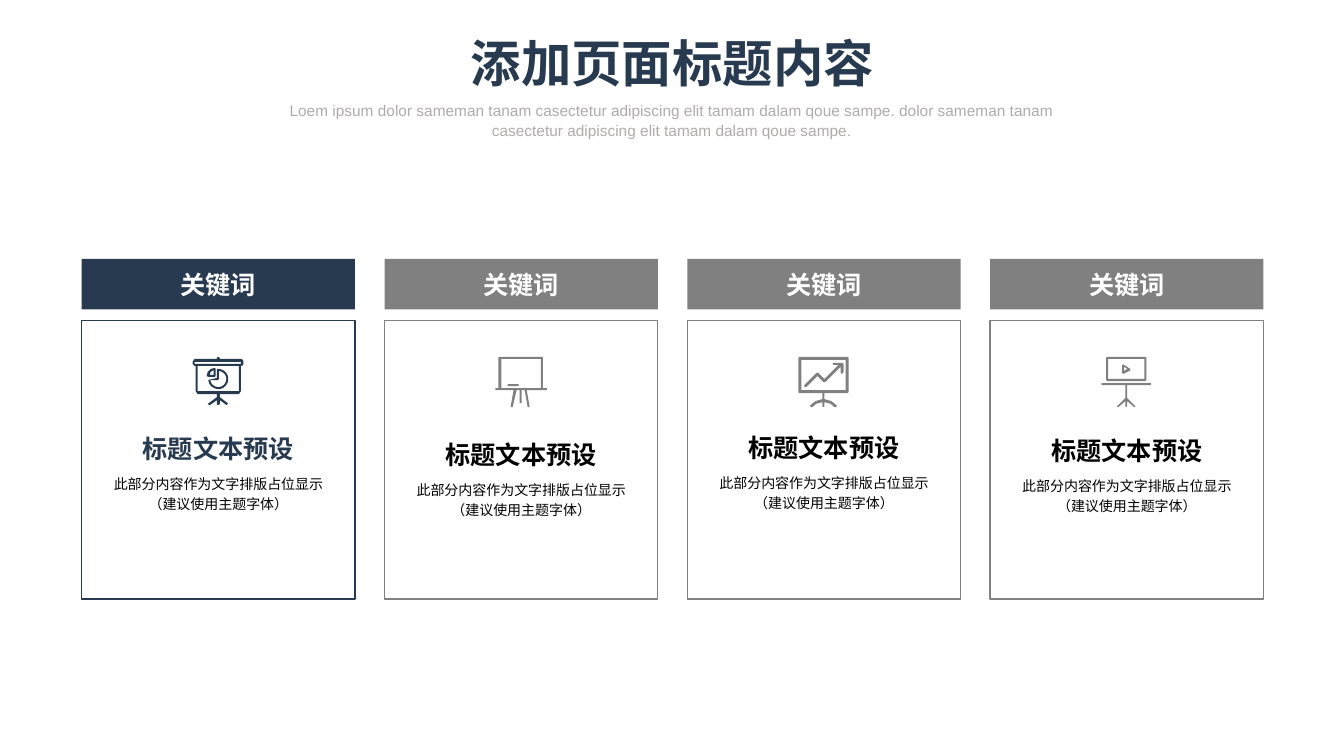
"""Build a slide with four keyword cards, each with an icon, a title and a note."""
from dataclasses import dataclass
from math import cos, radians, sin

from pptx import Presentation
from pptx.dml.color import RGBColor
from pptx.enum.shapes import MSO_SHAPE
from pptx.enum.text import MSO_ANCHOR, MSO_AUTO_SIZE, PP_ALIGN
from pptx.util import Pt

RECT = MSO_SHAPE.RECTANGLE
TOP, MIDDLE = MSO_ANCHOR.TOP, MSO_ANCHOR.MIDDLE
FIXED = MSO_AUTO_SIZE.NONE
CENTER = PP_ALIGN.CENTER


@dataclass(frozen=True)
class Theme:
    """Colours, font and type sizes."""
    navy: str = "273A4F"
    grey: str = "808080"
    pale: str = "AFABAB"
    black: str = "000000"
    white: str = "FFFFFF"
    font: str = "Arial"
    title: int = 36
    lead: int = 11
    head: int = 18
    note: int = 10


THEME = Theme()


def arc(x, y, size, start, end):
    """Return points along a circle from one angle to another, in degrees."""
    turns = [radians(start + (end - start) * i / 16) for i in range(17)]
    return [(x + size * cos(t), y + size * sin(t)) for t in turns]


def box(left, top, right, bottom):
    """Return the corners of a rectangle."""
    return [(left, top), (right, top), (right, bottom), (left, bottom)]


PIE = [
    arc(25.5, 22, 10, -90, 174) + [(24, 21), (24, 12)],
    arc(25.5, 22, 8, -86, 173) + [(25, 23), (26, 22)],
    [(22, 11), (23, 12), (23, 19), (22, 20), (16, 20), (14, 19), (15, 15), (18, 12)],
    [(21, 13), (18, 15), (17, 18), (21, 18)],
    box(5, 9, 46, 34),
    box(2, 5, 48, 7),
    [(25, 0), (27, 1), (27, 2), (48, 2), (50, 3), (50.5, 5), (50.5, 7), (50, 8.5),
     (48, 9), (48, 34), (46, 37), (27, 37), (27, 40), (35, 46), (34, 48), (27, 43),
     (27, 47), (25, 48), (24, 47), (24, 43), (17, 48), (15, 47), (16, 46), (24, 40),
     (24, 37), (5, 37), (3, 34), (3, 9), (2, 9), (0, 7), (0, 5), (2, 2), (24, 2), (24, 1)],
]
EASEL = [
    box(12, 27, 23, 29),
    box(6, 2, 45, 31),
    [(3, 0), (47, 0), (47, 31), (51, 31), (51, 33), (31, 33), (34, 50), (32, 50),
     (29, 33), (26, 33), (26, 46), (24, 46), (24, 33), (21, 33), (17, 50), (15, 50),
     (18, 33), (0, 33), (0, 31), (3, 31)],
]
TREND = [
    [(35, 6), (43, 6), (45, 7), (45, 15), (43, 17), (42, 15), (42, 10), (27, 25),
     (25, 25), (19, 19), (8, 30), (6, 30), (6, 28), (18, 16), (20, 16), (26, 22),
     (40, 8), (35, 8), (34, 7)],
    box(3, 3, 47, 33),
    [(1, 0), (49, 0), (50, 1), (50, 35), (49, 36), (26, 36), (26, 42), (33, 44),
     (38, 48), (38, 50), (36, 50), (32, 46.5), (26, 45), (26, 49), (25, 50), (24, 49),
     (24, 45), (18, 46.5), (14, 50), (12, 50), (12, 48), (17, 44), (24, 42), (24, 36),
     (1, 36), (0, 35), (0, 1)],
]
VIDEO = [
    [(1, 26), (49, 26), (50, 27), (49, 28), (26, 28), (26, 41), (34, 49), (34, 50),
     (33, 50), (26, 44), (26, 49), (25, 50), (24, 49), (24, 44), (17, 50), (16, 50),
     (16, 49), (24, 41), (24, 28), (1, 28), (0, 27)],
    [(23, 10), (23, 14), (26, 12)],
    [(21, 8), (22, 7.5), (29, 12), (29, 13.5), (22, 17), (21, 16)],
    box(7, 2, 43, 22),
    [(6, 0), (44, 0), (45, 1), (45, 23), (44, 24), (6, 24), (5, 23), (5, 1)],
]

TITLE = "添加页面标题内容"
LEAD = ("Loem ipsum dolor sameman tanam casectetur adipiscing elit tamam dalam qoue sampe. "
        "dolor sameman tanam casectetur adipiscing elit tamam dalam qoue sampe.")
KEY = "关键词"
NAME = "标题文本预设"
NOTE = "此部分内容作为文字排版占位显示\v（建议使用主题字体）"
CARDS = [
    (PIE, THEME.navy, THEME.navy, 306),
    (EASEL, THEME.grey, THEME.black, 310.3),
    (TREND, THEME.grey, THEME.black, 305.3),
    (VIDEO, THEME.grey, THEME.black, 307.4),
]
LEFT, STEP, WIDTH = 58.4, 216.3, 195.2
INSET = 14.4


def place(shape, left, top, width, height):
    """Move and size a shape, in points."""
    shape.left, shape.top = Pt(left), Pt(top)
    shape.width, shape.height = Pt(width), Pt(height)


def write(shape, text, size, color, bold=False, wrap=True, anchor=TOP, space=1.0):
    """Put formatted, centred text in a shape."""
    frame = shape.text_frame
    frame.auto_size = FIXED
    frame.word_wrap = wrap
    frame.vertical_anchor = anchor
    frame.margin_left = frame.margin_right = Pt(0)
    frame.margin_top = frame.margin_bottom = Pt(3.6)
    frame.text = text
    line = frame.paragraphs[0]
    line.alignment = CENTER
    line.line_spacing = space
    line.space_before = Pt(0)
    for run in line.runs:
        run.font.name = THEME.font
        run.font.size = Pt(size)
        run.font.bold = bold
        run.font.color.rgb = RGBColor.from_string(color)


def paint(shape, fill=None, line=None):
    """Set the fill and line of a shape and clear its shadow."""
    shape.shadow.inherit = False
    for part, color in ((shape.fill, fill), (shape.line.fill, line)):
        if color:
            part.solid()
            part.fore_color.rgb = RGBColor.from_string(color)
        else:
            part.background()
    if line:
        shape.line.width = Pt(1)


def block(shapes, left, top, width, height, **look):
    """Add a painted rectangle."""
    shape = shapes.add_shape(RECT, Pt(left), Pt(top), Pt(width), Pt(height))
    paint(shape, **look)
    return shape


def label(shapes, left, top, width, height, text, **look):
    """Add a text box."""
    shape = shapes.add_textbox(Pt(left), Pt(top), Pt(width), Pt(height))
    write(shape, text, **look)


def draw(shapes, paths, left, top, color):
    """Add an icon as one filled outline."""
    rings = [[(x * 10, y * 10) for x, y in path] for path in paths]
    pen = shapes.build_freeform(*rings[0][0], scale=Pt(0.072))
    for i, ring in enumerate(rings):
        if i:
            pen.move_to(*ring[0])
        pen.add_line_segments(ring[1:], close=True)
    paint(pen.convert_to_shape(Pt(left), Pt(top)), fill=color)


def main():
    """Build and save the slide."""
    deck = Presentation()
    deck.slide_width, deck.slide_height = Pt(960), Pt(540)
    slide = deck.slides.add_slide(deck.slide_layouts[0])
    shapes = slide.shapes
    title, lead = slide.placeholders
    place(title, 327.6, 19.4, 305.3, 51.1)
    write(title, TITLE, THEME.title, THEME.navy, bold=True, wrap=False)
    place(lead, 187.2, 67.7, 585.4, 47.5)
    write(lead, LEAD, THEME.lead, THEME.pale, space=1.07)
    for i, (icon, tone, ink, top) in enumerate(CARDS):
        left = LEFT + i * STEP
        inner, span = left + INSET, WIDTH - 2 * INSET
        block(shapes, left, 229, WIDTH, 198.8, line=tone)
        head = block(shapes, left, 185, WIDTH, 36, fill=tone)
        write(head, KEY, THEME.head, THEME.white, bold=True, wrap=False, anchor=MIDDLE)
        draw(shapes, icon, left + 79.2, 254.9, tone)
        label(shapes, inner, top, span, 27.4, NAME,
              size=THEME.head, color=ink, bold=True, wrap=False)
        label(shapes, inner, top + 27.5, span, 43.9, NOTE,
              size=THEME.note, color=THEME.black, space=1.2)
    deck.save("out.pptx")


if __name__ == "__main__":
    main()
